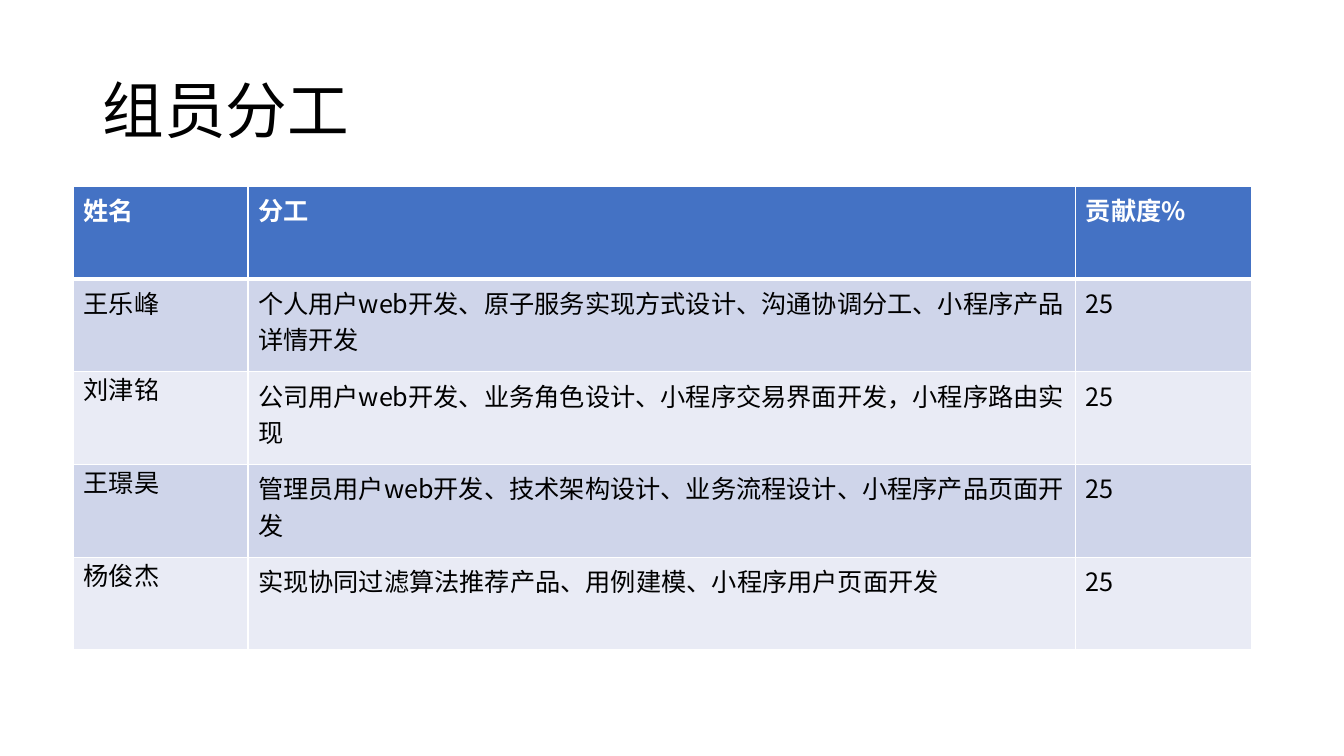
import dataclasses

import lxml.etree
import pptx
import pptx.dml.color
import pptx.enum.text
import pptx.oxml.ns
import pptx.util

PX = 9144  # 100 px to the inch


@dataclasses.dataclass(frozen=True)
class Theme:
    font: str = "Noto Sans CJK SC"
    alt: str = "Comic Neue"
    ink: str = "000000"
    white: str = "FFFFFF"
    head: str = "4472C4"
    bands: tuple[str, str] = ("CFD5EA", "E9EBF5")
    title: int = 44
    body: int = 18
    thin: int = 1
    thick: int = 3


@dataclasses.dataclass(frozen=True)
class Member:
    name: str
    work: str
    share: str
    font: str


THEME = Theme()
WIDTHS = (173, 821, 174)
ROW = 92
HEADS = Member("姓名", "分工", "贡献度%", THEME.font)
TEAM = (
    Member("王乐峰", "个人用户web开发、原子服务实现方式设计、沟通协调分工、小程序产品详情开发", "25", THEME.font),
    Member("刘津铭", "公司用户web开发、业务角色设计、小程序交易界面开发，小程序路由实现", "25", THEME.alt),
    Member("王璟昊", "管理员用户web开发、技术架构设计、业务流程设计、小程序产品页面开发", "25", THEME.alt),
    Member("杨俊杰", "实现协同过滤算法推荐产品、用例建模、小程序用户页面开发", "25", THEME.alt),
)


def px(size: int) -> pptx.util.Emu:
    return pptx.util.Emu(size * PX)


def rgb(code: str) -> pptx.dml.color.RGBColor:
    return pptx.dml.color.RGBColor.from_string(code)


def add_run(para, text: str, size: int, color: str, face: str, bold: bool = False) -> None:
    run = para.add_run()
    run.text = text
    run.font.size = pptx.util.Pt(size)
    run.font.bold = bold
    run.font.color.rgb = rgb(color)
    run.font.name = face
    props = run.font._element
    props.set("lang", "zh-CN")
    east = lxml.etree.SubElement(props, pptx.oxml.ns.qn("a:ea"))
    east.set("typeface", face)


def add_edge(cell, side: str, width: int) -> None:
    qn = pptx.oxml.ns.qn
    line = lxml.etree.SubElement(cell._tc.get_or_add_tcPr(), qn(f"a:ln{side}"))
    line.set("w", str(pptx.util.Pt(width)))
    fill = lxml.etree.SubElement(line, qn("a:solidFill"))
    lxml.etree.SubElement(fill, qn("a:srgbClr")).set("val", THEME.white)


def add_title(slide, text: str) -> None:
    box = slide.shapes.add_textbox(px(92), px(40), px(1150), px(145))
    frame = box.text_frame
    frame.word_wrap = True
    frame.vertical_anchor = pptx.enum.text.MSO_ANCHOR.MIDDLE
    para = frame.paragraphs[0]
    para.line_spacing = 0.9
    add_run(para, text, THEME.title, THEME.ink, THEME.font)


def fill_row(table, row: int, member: Member) -> None:
    head = row == 0
    back = THEME.head if head else THEME.bands[(row - 1) % 2]
    color = THEME.white if head else THEME.ink
    edges = {
        "L": THEME.thin,
        "R": THEME.thin,
        "T": THEME.thick if row == 1 else THEME.thin,
        "B": THEME.thick if head else THEME.thin,
    }
    cells = ((member.name, member.font), (member.work, THEME.font), (member.share, THEME.font))
    for col, (text, face) in enumerate(cells):
        cell = table.cell(row, col)
        for side, width in edges.items():
            add_edge(cell, side, width)
        cell.fill.solid()
        cell.fill.fore_color.rgb = rgb(back)
        add_run(cell.text_frame.paragraphs[0], text, THEME.body, color, face, head)


def add_team(slide) -> None:
    rows = (HEADS, *TEAM)
    frame = slide.shapes.add_table(
        len(rows), len(WIDTHS), px(73), px(185), px(sum(WIDTHS)), px(ROW * len(rows))
    )
    table = frame.table
    for col, width in zip(table.columns, WIDTHS):
        col.width = px(width)
    for row, member in enumerate(rows):
        table.rows[row].height = px(ROW)
        fill_row(table, row, member)


def main() -> None:
    deck = pptx.Presentation()
    deck.slide_width, deck.slide_height = px(1333), px(750)
    slide = deck.slides.add_slide(deck.slide_layouts[6])
    # Heading
    add_title(slide, "组员分工")
    # Table of members
    add_team(slide)
    deck.save("out.pptx")


if __name__ == "__main__":
    main()
